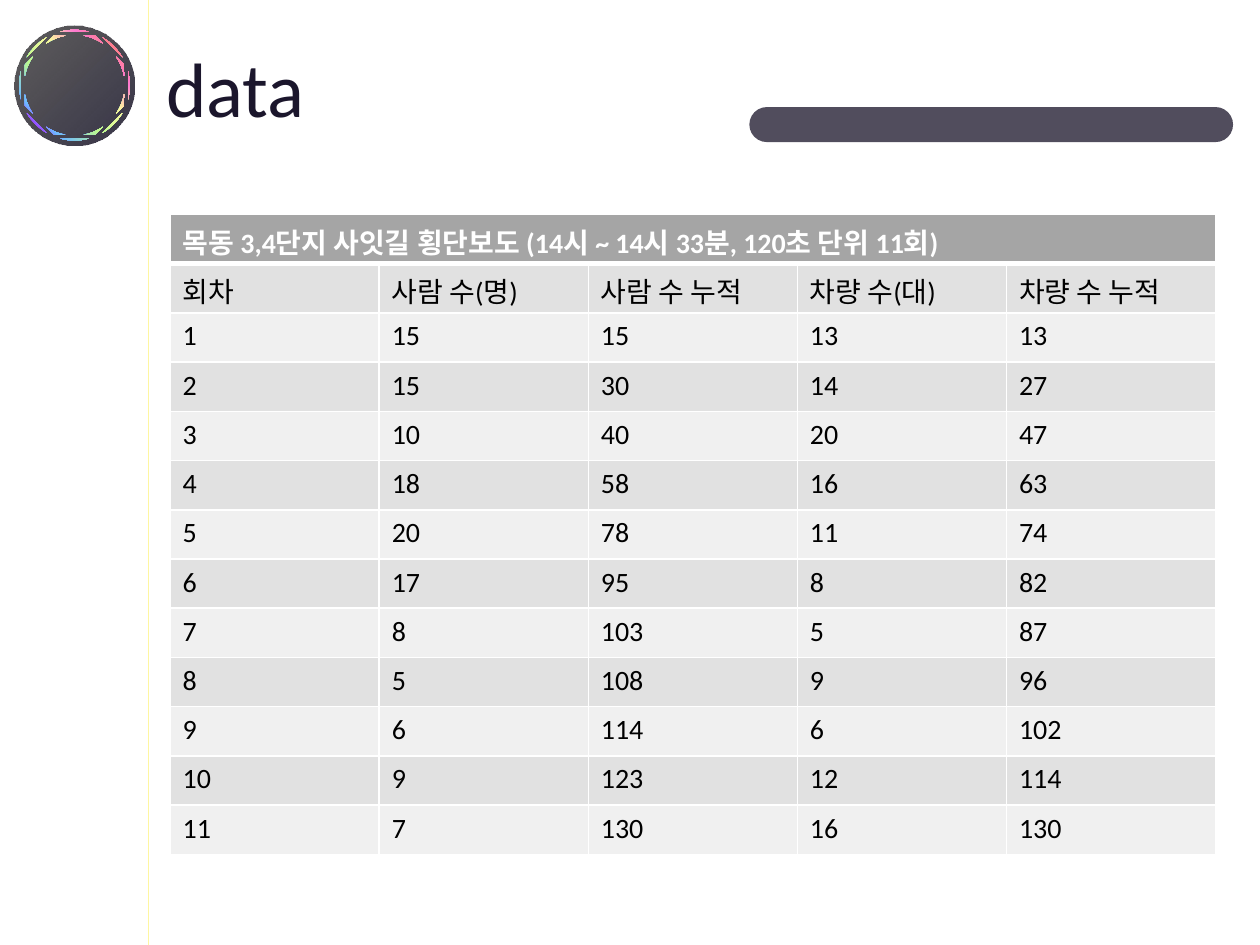
import math

import lxml.etree
import pptx
import pptx.dml.color
import pptx.enum.shapes
import pptx.enum.text
import pptx.oxml
import pptx.oxml.ns
import pptx.util

Pt = pptx.util.Pt
qn = pptx.oxml.ns.qn
SHAPE = pptx.enum.shapes.MSO_SHAPE
FONT = "Calibri"
NAMESPACE = 'xmlns:a="http://schemas.openxmlformats.org/drawingml/2006/main"'
COLORS = {
    "ink": "1B162C",
    "charcoal": "0D0D0D",
    "bar": "514D5D",
    "guide": "FEF6A1",
    "white": "FFFFFF",
    "black": "000000",
    "caption": "A5A5A5",
    "dark band": "E1E1E1",
    "light band": "F0F0F0",
}
RAINBOW = [(7, "FF8256"), (25, "FF79D2"), (40, "FEF6A1"),
           (60, "BFFA8E"), (80, "6FBBFF"), (86, "A03FFF")]
BADGE_CENTER = (42.6, 48.7)

CAPTION = "목동 3,4단지 사잇길 횡단보도 (14시 ~ 14시 33분, 120초 단위 11회)"
HEADINGS = ["회차", "사람 수(명)", "사람 수 누적", "차량 수(대)", "차량 수 누적"]
COUNTS = [
    (1, 15, 15, 13, 13),
    (2, 15, 30, 14, 27),
    (3, 10, 40, 20, 47),
    (4, 18, 58, 16, 63),
    (5, 20, 78, 11, 74),
    (6, 17, 95, 8, 82),
    (7, 8, 103, 5, 87),
    (8, 5, 108, 9, 96),
    (9, 6, 114, 6, 102),
    (10, 9, 123, 12, 114),
    (11, 7, 130, 16, 130),
]


def rgb(name):
    return pptx.dml.color.RGBColor.from_string(COLORS[name])


def set_font(paragraph, size, color, bold=False):
    paragraph.font.name = FONT
    paragraph.font.size = Pt(size)
    paragraph.font.bold = bold
    paragraph.font.color.rgb = rgb(color)


def set_gradient(shape, stops, direction):
    """Fill with (position, hex, opacity) stops, all in percent."""
    stop_xml = "".join(
        f'<a:gs pos="{position * 1000}"><a:srgbClr val="{color}">'
        f'<a:alpha val="{opacity * 1000}"/></a:srgbClr></a:gs>'
        for position, color, opacity in stops)
    gradient = pptx.oxml.parse_xml(
        f'<a:gradFill {NAMESPACE} rotWithShape="1"><a:gsLst>{stop_xml}</a:gsLst>'
        f'{direction}</a:gradFill>')
    properties = shape._element.spPr
    geometry = properties.find(qn("a:prstGeom"))
    if geometry is None:
        geometry = properties.find(qn("a:custGeom"))
    geometry.addnext(gradient)


def add_plain_shape(slide, kind, left, top, width, height):
    shape = slide.shapes.add_shape(kind, Pt(left), Pt(top), Pt(width), Pt(height))
    shape.shadow.inherit = False
    shape.line.fill.background()
    return shape


def badge_point(radius, degrees):
    angle = math.radians(degrees)
    return (Pt(BADGE_CENTER[0] + radius * math.cos(angle)),
            Pt(BADGE_CENTER[1] + radius * math.sin(angle)))


def badge_arc(radius, middle, half_angle, steps=8):
    return [badge_point(radius, middle + half_angle * (2 * i / steps - 1))
            for i in range(steps + 1)]


def add_badge(slide):
    """Dark disc with a ring of eight caps and eight pointed shards."""
    disc = add_plain_shape(slide, SHAPE.OVAL, 8.4, 14.5, 68.4, 68.4)
    set_gradient(disc, [(0, COLORS["charcoal"], 66), (100, COLORS["ink"], 87)],
                 '<a:lin ang="2700000" scaled="0"/>')

    contours = []
    for middle in range(0, 360, 45):
        contours.append(badge_arc(31.6, middle, 14.5))
        corner = middle + 22.5
        contours.append([badge_point(30.6, corner)] + badge_arc(28.8, corner, 11.7))
    builder = slide.shapes.build_freeform(*contours[0][0], scale=1.0)
    for index, contour in enumerate(contours):
        if index:
            builder.move_to(*contour[0])
        builder.add_line_segments(contour[1:], close=True)
    ring = builder.convert_to_shape()
    ring.shadow.inherit = False
    ring.line.fill.background()
    set_gradient(ring, [(position, color, 100) for position, color in RAINBOW],
                 '<a:path path="circle"><a:fillToRect l="100000" b="100000"/></a:path>')


def add_guide(slide):
    guide = slide.shapes.add_connector(
        pptx.enum.shapes.MSO_CONNECTOR.STRAIGHT, Pt(84.6), Pt(0), Pt(84.6), Pt(540))
    guide.line.color.rgb = rgb("guide")
    guide.line.width = Pt(0.5)
    lxml.etree.SubElement(guide._element.spPr, qn("a:effectLst"))


def add_bar(slide):
    bar = add_plain_shape(slide, SHAPE.ROUNDED_RECTANGLE, 428.2, 61.2, 276.4, 20)
    bar.adjustments[0] = 0.5
    bar.fill.solid()
    bar.fill.fore_color.rgb = rgb("bar")


def add_title(slide, wording):
    frame = slide.shapes.add_textbox(Pt(88), Pt(7.2), Pt(322), Pt(84.2)).text_frame
    frame.word_wrap = True
    frame.vertical_anchor = pptx.enum.text.MSO_ANCHOR.MIDDLE
    title = frame.paragraphs[0]
    title.alignment = pptx.enum.text.PP_ALIGN.JUSTIFY
    run = title.add_run()
    run.text = wording
    set_font(title, 44, "ink")
    run._r.get_or_add_rPr().append(pptx.oxml.parse_xml(
        f'<a:effectLst {NAMESPACE}><a:outerShdw blurRad="38100" dist="38100" '
        'dir="2700000" algn="tl"><a:srgbClr val="000000"><a:alpha val="43000"/>'
        '</a:srgbClr></a:outerShdw></a:effectLst>'))


def style_cell(cell, fill, color="black", bold=False, bottom=1):
    borders = {"lnL": 1, "lnR": 1, "lnT": 1, "lnB": bottom}
    properties = cell._tc.get_or_add_tcPr()
    for side, width in borders.items():
        properties.append(pptx.oxml.parse_xml(
            f'<a:{side} {NAMESPACE} w="{Pt(width)}"><a:solidFill>'
            f'<a:srgbClr val="{COLORS["white"]}"/></a:solidFill></a:{side}>'))
    cell.fill.solid()
    cell.fill.fore_color.rgb = rgb(fill)
    set_font(cell.text_frame.paragraphs[0], 16, color, bold)


def add_count_table(slide):
    body = [HEADINGS] + COUNTS
    row_total, column_total = len(body) + 1, len(HEADINGS)
    table = slide.shapes.add_table(
        row_total, column_total, Pt(97.2), Pt(122.6), Pt(597.5), Pt(365.6)).table
    table.horz_banding = False
    for row in table.rows:
        row.height = Pt(28.12)
    for column in table.columns:
        column.width = Pt(119.5)

    table.cell(0, 0).merge(table.cell(0, column_total - 1))
    table.cell(0, 0).text = CAPTION
    for column in range(column_total):
        style_cell(table.cell(0, column), "caption", "white", bold=True, bottom=3)
    for row, values in enumerate(body, start=1):
        band = "dark band" if row % 2 else "light band"
        for column, value in enumerate(values):
            cell = table.cell(row, column)
            cell.text = str(value)
            style_cell(cell, band)


def main():
    deck = pptx.Presentation()
    deck.slide_width, deck.slide_height = Pt(720), Pt(540)
    slide = deck.slides.add_slide(deck.slide_layouts[6])
    add_badge(slide)
    add_guide(slide)
    add_bar(slide)
    add_title(slide, "data")
    add_count_table(slide)
    deck.save("out.pptx")


if __name__ == "__main__":
    main()
